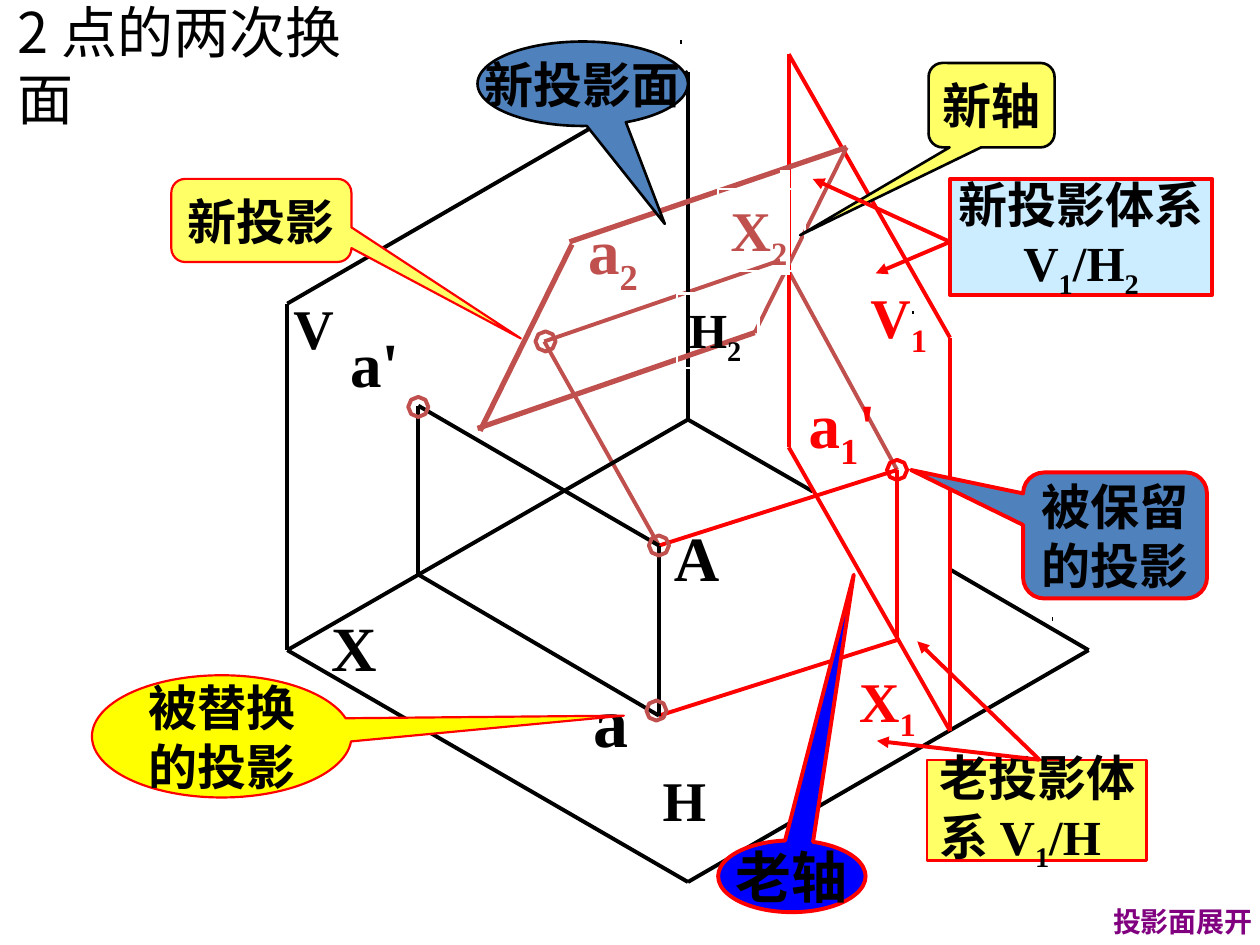
from math import cos, pi, sin
from lxml import etree
from pptx import Presentation
from pptx import util as u
from pptx.dml.color import RGBColor
from pptx.enum import shapes, text
from pptx.oxml import ns

BLACK = RGBColor(0x00, 0x00, 0x00)
WHITE = RGBColor(0xFF, 0xFF, 0xFF)
RED = RGBColor(0xFF, 0x00, 0x00)
ROSE = RGBColor(0xC0, 0x50, 0x4D)
STEEL = RGBColor(0x4F, 0x81, 0xBD)
BLUE = RGBColor(0x00, 0x00, 0xFF)
YELLOW = RGBColor(0xFF, 0xFF, 0x00)
LEMON = RGBColor(0xFF, 0xFF, 0x66)
SKY = RGBColor(0xCC, 0xEC, 0xFF)
PURPLE = RGBColor(0x80, 0x00, 0x80)

SERIF, CJK = "Times New Roman", "Noto Sans CJK SC"
LEFT, CENTER, RIGHT = text.PP_ALIGN.LEFT, text.PP_ALIGN.CENTER, text.PP_ALIGN.RIGHT
RECT = shapes.MSO_SHAPE.RECTANGLE
OVAL_CALLOUT = shapes.MSO_SHAPE.OVAL_CALLOUT
ROUND_CALLOUT = shapes.MSO_SHAPE.ROUNDED_RECTANGULAR_CALLOUT

TITLE = "2 点的两次换面"
POINTS = {
    "A": (5.23, 4.33), "a": (5.23, 5.68), "a'": (3.32, 3.22), "ax": (3.32, 4.56),
    "a1'": (7.12, 3.73), "ax1": (7.12, 5.08), "a2": (4.32, 2.71), "ax2": (6.21, 2.06),
    "V top left": (2.28, 2.41), "V top right": (5.46, 0.57),
    "X left": (2.28, 5.16), "X right": (5.46, 3.33),
    "H front": (5.46, 7), "H right": (8.64, 5.16),
    "H hidden start": (6.45, 3.9), "H hidden end": (7.54, 4.52),
    "V1 top left": (6.26, 0.43), "V1 top right": (7.54, 2.68),
    "X1 left": (6.26, 3.55), "X1 right": (7.54, 5.8),
    "H2 right": (6.72, 1.17), "H2 top": (4.52, 1.92), "H2 side": (4.54, 1.94),
    "H2 left": (3.81, 3.42), "H2 base": (3.79, 3.4), "H2 front": (5.99, 2.64),
}
EDGES = [
    (ROSE, 2.25, [("ax2", "a1'"), ("a2", "A"), ("a2", "ax2")]),
    (BLACK, 2.25, [
        ("X left", "V top left"), ("V top left", "V top right"),
        ("V top right", "X right"), ("X right", "X left"), ("X left", "H front"),
        ("H front", "H right"), ("X right", "H hidden start"),
        ("H hidden end", "H right")]),
    (RED, 2.25, [
        ("X1 left", "V1 top left"), ("X1 left", "X1 right"),
        ("X1 right", "V1 top right"), ("V1 top left", "V1 top right"),
        ("a", "ax1"), ("ax1", "a1'"), ("A", "a1'")]),
    (BLACK, 2.25, [("A", "a"), ("a", "ax"), ("A", "a'"), ("ax", "a'")]),
    (ROSE, 2.25, [("H2 front", "H2 right")]),
    (ROSE, 3, [("H2 top", "H2 right"), ("H2 left", "H2 side"), ("H2 base", "H2 front")]),
]
DOTS = [(7.24, 2.48), (5.4, 0.33), (8.35, 4.91)]
RINGS = [(4.33, 2.71, ROSE), (5.23, 4.33, ROSE), (3.32, 3.23, ROSE),
         (7.12, 3.73, RED), (5.21, 5.64, ROSE)]
LABELS = [
    ("a_2", (4.57, 1.63, 0.62, 0.7), 36, ROSE),
    ("V", (2.23, 2.28, 0.52, 0.63), 32, BLACK),
    ("a'", (2.68, 2.53, 0.59, 0.7), 36, BLACK),
    ("H", (5.16, 6.03, 0.55, 0.63), 32, BLACK),
    ("A", (5.25, 4.07, 0.56, 0.7), 36, BLACK),
    ("a", (4.61, 5.33, 0.48, 0.77), 40, BLACK),
    ("V_1", (6.81, 2.19, 0.67, 0.63), 32, RED),
    ("X_1", (6.72, 5.24, 0.67, 0.63), 32, RED),
    ("a_1'", (6.32, 3.01, 0.76, 0.7), 36, RED),
    ("X", (2.53, 4.78, 0.56, 0.7), 36, BLACK),
]
FRAMED_LABELS = [
    ("H_2", (5.37, 2.33, 0.65, 0.59), 28, BLACK),
    ("X_2", (5.7, 1.5, 0.69, 0.65), 32, ROSE),
]
CALLOUTS = [
    ("被替换\n的投影", OVAL_CALLOUT, (0.73, 5.36, 2.06, 0.97), (1.55, -0.17), YELLOW, RED, 1.25, 28),
    ("新投影", ROUND_CALLOUT, (1.36, 1.42, 1.43, 0.66), (1.44, 1.42), LEMON, RED, 1.25, 28),
    ("被保留\n的投影", ROUND_CALLOUT, (8.12, 3.75, 1.46, 1), (-1.11, -0.52), STEEL, RED, 2.25, 28),
    ("老轴", OVAL_CALLOUT, (5.7, 6.67, 1.17, 0.57), (0.42, -4.2), BLUE, RED, 2.25, 32),
    ("新投影面", OVAL_CALLOUT, (3.79, 0.33, 1.67, 0.67), (0.39, 1.66), STEEL, BLACK, 1.5, 28),
    ("新轴", ROUND_CALLOUT, (7.37, 0.5, 1, 0.67), (-1.52, 1.54), LEMON, BLACK, 1.5, 28),
]
SYSTEMS = [
    ("老投影体\n系 V_1/H", (7.36, 6.03, 1.74, 0.8), LEMON, 1.25, LEFT,
     (8.25, 6.03), [(7.28, 5.09), (6.96, 5.88)]),
    ("新投影体系\nV_1/H_2", (7.54, 1.42, 2.08, 0.92), SKY, 2.25, CENTER,
     (7.54, 1.92), [(6.45, 1.42), (6.95, 2.17)]),
]


def write(frame, content, size, color=BLACK, font=SERIF, bold=True, align=LEFT,
          anchor=text.MSO_ANCHOR.TOP, wrap=False):
    frame.word_wrap = wrap
    frame.vertical_anchor = anchor
    for index, line in enumerate(content.split("\n")):
        para = frame.add_paragraph() if index else frame.paragraphs[0]
        para.alignment = align
        first, *rest = line.split("_")
        parts = [(first, False)]
        for part in rest:
            parts += [(part[0], True), (part[1:], False)]
        for words, lowered in parts:
            if not words:
                continue
            span = para.add_run()
            span.text = words
            span.font.size = u.Pt(size)
            span.font.bold = bold
            span.font.name = font
            span.font.color.rgb = color
            props = span.font._element
            etree.SubElement(props, ns.qn("a:ea")).set("typeface", CJK)
            if lowered:
                props.set("baseline", "-25000")


def draw_line(page, start, end, color, width, arrow=False):
    line = page.shapes.add_connector(
        shapes.MSO_CONNECTOR.STRAIGHT, *map(u.Inches, start + end))
    line.line.color.rgb = color
    line.line.width = u.Pt(width)
    if arrow:
        etree.SubElement(line.line._get_or_add_ln(), ns.qn("a:tailEnd")).set("type", "triangle")
    etree.SubElement(line._element.spPr, ns.qn("a:effectLst"))


def style(shape, fill, color, width):
    shape.shadow.inherit = False
    if fill is None:
        shape.fill.background()
    else:
        shape.fill.solid()
        shape.fill.fore_color.rgb = fill
    shape.line.color.rgb = color
    shape.line.width = u.Pt(width)


def draw_ring(page, x, y, color, radius=0.08):
    corners = [(u.Inches(x + radius * cos(k * pi / 4)), u.Inches(y + radius * sin(k * pi / 4)))
               for k in range(8)]
    builder = page.shapes.build_freeform(*corners[0])
    builder.add_line_segments(corners[1:], close=True)
    style(builder.convert_to_shape(), None, color, 2.25)


def add_box(page, kind, place, content, size, fill, edge, width, adjust=(), **form):
    box = page.shapes.add_shape(kind, *map(u.Inches, place))
    for index, value in enumerate(adjust):
        box.adjustments[index] = value
    style(box, fill, edge, width)
    write(box.text_frame, content, size, **form)


def add_label(page, content, place, size, color, **form):
    box = page.shapes.add_textbox(*map(u.Inches, place))
    write(box.text_frame, content, size, color, **form)


def main():
    deck = Presentation()
    deck.slide_width, deck.slide_height = u.Inches(10), u.Inches(7.5)
    page = deck.slides.add_slide(deck.slide_layouts[5])
    title = page.shapes.title
    title.left, title.top, title.width, title.height = map(u.Inches, (0.04, -0.07, 3.1, 1.2))
    write(title.text_frame, TITLE, 32, font=CJK, bold=False, wrap=True)

    for color, width, pairs in EDGES:
        for start, end in pairs:
            draw_line(page, POINTS[start], POINTS[end], color, width)
    for x, y in DOTS:
        draw_line(page, (x, y), (x + 0.01, y), BLACK, 2.25)
    for ring in RINGS:
        draw_ring(page, *ring)
    for label in LABELS:
        add_label(page, *label)
    draw_line(page, (6.23, 1.35), (6.23, 2.18), WHITE, 6)

    for content, place, size, color in FRAMED_LABELS:
        add_box(page, RECT, place, content, size, None, WHITE, 1.25, color=color)
    for content, kind, place, adjust, fill, edge, width, size in CALLOUTS:
        add_box(page, kind, place, content, size, fill, edge, width, adjust,
                align=CENTER, anchor=text.MSO_ANCHOR.MIDDLE)
    for content, place, fill, width, align, origin, targets in SYSTEMS:
        add_box(page, RECT, place, content, 28, fill, RED, width,
                align=align, anchor=text.MSO_ANCHOR.MIDDLE)
        for target in targets:
            draw_line(page, origin, target, RED, 2.25, arrow=True)
    add_label(page, "投影面展开", (8.72, 7.13, 1.32, 0.37), 16, PURPLE, align=RIGHT)
    deck.save("out.pptx")


if __name__ == "__main__":
    main()
